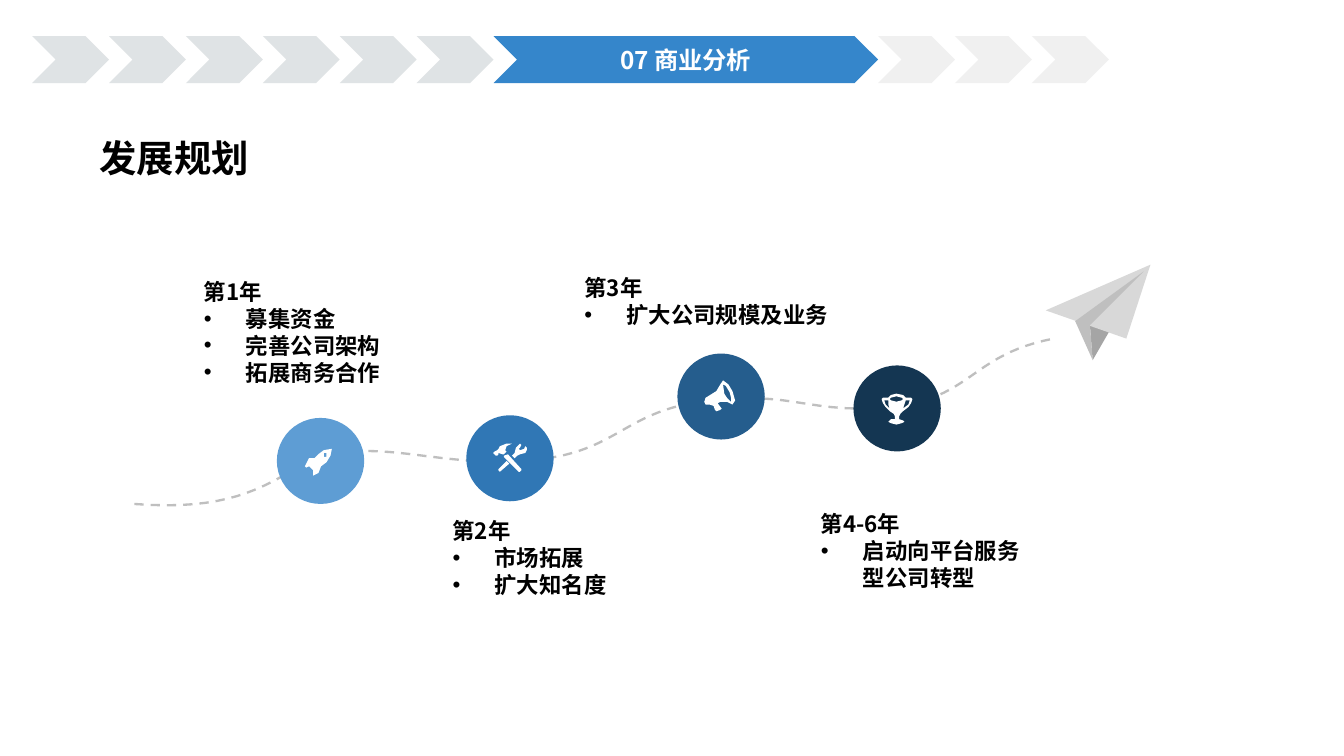
from lxml import etree
from pptx import Presentation
from pptx.dml.color import RGBColor
from pptx.enum.dml import MSO_LINE
from pptx.enum.shapes import MSO_SHAPE
from pptx.enum.text import MSO_ANCHOR, MSO_AUTO_SIZE, PP_ALIGN
from pptx.oxml.ns import qn
from pptx.util import Pt

CHEVRON, OVAL = MSO_SHAPE.CHEVRON, MSO_SHAPE.OVAL
DASH = MSO_LINE.DASH
MIDDLE, CENTER = MSO_ANCHOR.MIDDLE, PP_ALIGN.CENTER
GROW = MSO_AUTO_SIZE.SHAPE_TO_FIT_TEXT
FONT = "Noto Sans CJK SC"
BLACK, WHITE = "000000", "FFFFFF"
BULLET_INDENT = 22.5
ICON_UNIT, ICON_INSET = 0.72, 14.4

NAV_LEFT, NAV_TOP, NAV_HEIGHT = 17.2, 19.3, 25.2
NAV_STEP, ACTIVE_WIDTH = 41.2, 206
DONE_COUNT, NEXT_COUNT = 6, 3

ROUTE_START = (72, 270)
ROUTE_CURVES = [
    ((146.2, 275.8), (151.9, 244.1), (186.5, 241.9)),
    ((220.3, 239.8), (242.6, 250.6), (287.3, 246.2)),
    ((331.9, 241.9), (334.1, 219.6), (380.2, 214.6)),
    ((426.2, 209.5), (432, 221.8), (476.6, 218.2)),
    ((520.6, 213.8), (519.8, 190.1), (564.5, 181.4)),
]

PLANE_FACES = [
    ("A5A5A5", [(598.3, 170.6), (585.4, 193), (583.9, 174.2)]),
    ("D8D8D8", [(616.3, 141.8), (560.2, 166.3), (603.4, 181.4)]),
    ("BFBFBF", [(612.7, 145.4), (576, 172.1), (585.4, 193), (583.9, 174.2)]),
]

ROCKET = [
    [(13, 16), (17, 13), (20, 8), (21, 3), (15, 4), (11, 7), (8, 10), (4, 10),
     (1, 16), (2, 17), (4, 16), (7, 19), (7, 23), (11, 21)],
    [(15, 9), (15, 6), (17, 6), (17, 9)],
]
TOOLS = [
    [(4, 8), (7, 9), (8, 9), (10, 7), (9, 6), (10, 3), (14, 1), (10, 1), (5, 3),
     (4, 5), (3, 6), (1, 7), (0, 8), (2, 10), (3, 10), (4, 9)],
    [(11, 9), (8, 10), (8, 11), (19, 22), (20, 22), (21, 21), (21, 20)],
    [(25, 4), (24, 3), (23, 5), (20, 6), (19, 5), (20, 4), (21, 2), (20, 1),
     (17, 4), (16, 8), (14, 10), (16, 12), (18, 10), (20, 9), (24, 8), (25, 6)],
    [(4, 20), (4, 21), (5, 22), (12, 16), (10, 14)],
]
MEGAPHONE = [
    [(21, 8), (18, 3), (14, 0), (12, 3), (9, 8), (1, 13), (0, 16), (1, 18),
     (4, 18), (7, 19), (8, 22), (9, 23), (12, 22), (13, 21), (10, 17), (12, 16),
     (17, 16), (21, 18), (23, 15)],
    [(20, 16), (17, 13), (15, 10), (14, 3), (16, 4), (19, 9), (20, 13)],
]
TROPHY = [
    [(14, 18), (15, 16), (17, 14), (21, 11), (23, 8), (24, 5), (23, 4), (19, 4),
     (17, 2), (12, 1), (8, 2), (6, 4), (2, 4), (1, 5), (2, 8), (4, 11), (7, 14),
     (10, 16), (11, 18), (11, 20), (8, 20), (6, 22), (8, 23), (12, 24),
     (16, 23), (18, 22), (17, 21), (14, 20)],
    [(17, 12), (18, 9), (19, 6), (22, 6), (21, 9)],
    [(12, 3), (16, 4), (17, 5), (16, 6), (12, 7), (8, 6), (7, 5), (8, 4)],
    [(3, 6), (6, 6), (6, 9), (7, 12), (4, 9)],
]

MILESTONES = [
    ("5E9DD4", (148.3, 223.9), ROCKET),
    ("255D8D", (362.9, 189.4), MEGAPHONE),
    ("3077B5", (249.8, 222.5), TOOLS),
    ("143652", (457.2, 195.8), TROPHY),
]
PLANS = [
    ((102.2, 145.4, 125.3, 65.5), "第1年", ["募集资金", "完善公司架构", "拓展商务合作"]),
    ((235.4, 273.6, 141.1, 51.1), "第2年", ["市场拓展", "扩大知名度"]),
    ((306, 143.3, 150.5, 36), "第3年", ["扩大公司规模及业务"]),
    ((432.7, 270, 125.3, 51.1), "第4-6年", ["启动向平台服务型公司转型"]),
]


def color(value):
    """Turn a hex string into a colour."""
    return RGBColor.from_string(value)


def paint(shape, fill):
    """Give a shape a flat fill without outline or shadow."""
    shape.shadow.inherit = False
    shape.fill.solid()
    shape.fill.fore_color.rgb = color(fill)
    shape.line.fill.background()


def add_preset(page, kind, bounds, fill):
    """Add a painted preset shape."""
    shape = page.shapes.add_shape(kind, *map(Pt, bounds))
    paint(shape, fill)
    return shape


def add_outline(page, contours, close=True):
    """Build one freeform from contours given in points."""
    contours = [[(Pt(x), Pt(y)) for x, y in contour] for contour in contours]
    builder = page.shapes.build_freeform(*contours[0][0])
    for index, contour in enumerate(contours):
        if index:
            builder.move_to(*contour[0])
        builder.add_line_segments(contour[1:], close=close)
    return builder.convert_to_shape()


def add_bullet(para):
    """Give a paragraph a hanging round bullet."""
    props = para._p.get_or_add_pPr()
    props.set("marL", str(Pt(BULLET_INDENT)))
    props.set("indent", str(-Pt(BULLET_INDENT)))
    tint = etree.SubElement(props, qn("a:buClr"))
    etree.SubElement(tint, qn("a:srgbClr"), val=BLACK)
    etree.SubElement(props, qn("a:buFont"), typeface="Arial")
    etree.SubElement(props, qn("a:buChar"), char="•")


def write(para, text, size, tint):
    """Write one bold span with a fixed line height."""
    para.line_spacing = Pt(size * 1.2)
    span = para.add_run()
    span.text = text
    span.font.color.rgb = color(tint)
    for name, value in {"size": Pt(size), "bold": True, "name": FONT}.items():
        setattr(span.font, name, value)
    etree.SubElement(span._r.get_or_add_rPr(), qn("a:ea"), typeface=FONT)


def add_text(page, bounds, heading, size, items=()):
    """Add a text box with a heading and bulleted items."""
    frame = page.shapes.add_textbox(*map(Pt, bounds)).text_frame
    for name, value in {"word_wrap": True, "auto_size": GROW}.items():
        setattr(frame, name, value)
    write(frame.paragraphs[0], heading, size, BLACK)
    for item in items:
        para = frame.add_paragraph()
        add_bullet(para)
        write(para, item, size, BLACK)


def add_navigation(page):
    """Add the chevron bar with the active chapter."""
    active_left = NAV_LEFT + DONE_COUNT * NAV_STEP
    active = add_preset(page, CHEVRON, (active_left, NAV_TOP, ACTIVE_WIDTH, NAV_HEIGHT), "3586CB")
    active.text_frame.vertical_anchor = MIDDLE
    para = active.text_frame.paragraphs[0]
    para.alignment = CENTER
    write(para, "07 商业分析", 13, WHITE)
    runs = [(NAV_LEFT, DONE_COUNT, "DFE3E5"), (active_left + ACTIVE_WIDTH, NEXT_COUNT, "F0F0F0")]
    for left, count, fill in runs:
        for index in range(count):
            add_preset(page, CHEVRON, (left + index * NAV_STEP, NAV_TOP, NAV_STEP, NAV_HEIGHT), fill)


def add_route(page, steps=24):
    """Draw the dashed route along its cubic curves."""
    points = [ROUTE_START]
    for first, second, end in ROUTE_CURVES:
        corners = list(zip(points[-1], first, second, end))
        for step in range(1, steps + 1):
            t = step / steps
            weights = ((1 - t) ** 3, 3 * t * (1 - t) ** 2, 3 * t * t * (1 - t), t ** 3)
            points.append(tuple(sum(w * v for w, v in zip(weights, axis)) for axis in corners))
    route = add_outline(page, [points], close=False)
    route.shadow.inherit = False
    route.fill.background()
    route.line.color.rgb = color("BFBFBF")
    for name, value in {"width": Pt(1.25), "dash_style": DASH}.items():
        setattr(route.line, name, value)


def add_milestone(page, fill, corner, icon):
    """Add a circle with a white icon."""
    left, top = corner
    add_preset(page, OVAL, (left, top, 46.8, 46.1), fill)
    contours = [[(left + ICON_INSET + x * ICON_UNIT, top + ICON_INSET + y * ICON_UNIT)
                 for x, y in contour] for contour in icon]
    paint(add_outline(page, contours), WHITE)


def main():
    """Build the slide and save it."""
    deck = Presentation()
    deck.slide_width, deck.slide_height = Pt(720), Pt(405)
    page = deck.slides.add_slide(deck.slide_layouts[6])
    add_text(page, (46.1, 69.1, 178.6, 31.7), "发展规划", 20)
    add_navigation(page)
    add_route(page)
    for fill, points in PLANE_FACES:
        paint(add_outline(page, [points]), fill)
    for milestone in MILESTONES:
        add_milestone(page, *milestone)
    for bounds, heading, items in PLANS:
        add_text(page, bounds, heading, 12, items)
    deck.save("out.pptx")


if __name__ == "__main__":
    main()
